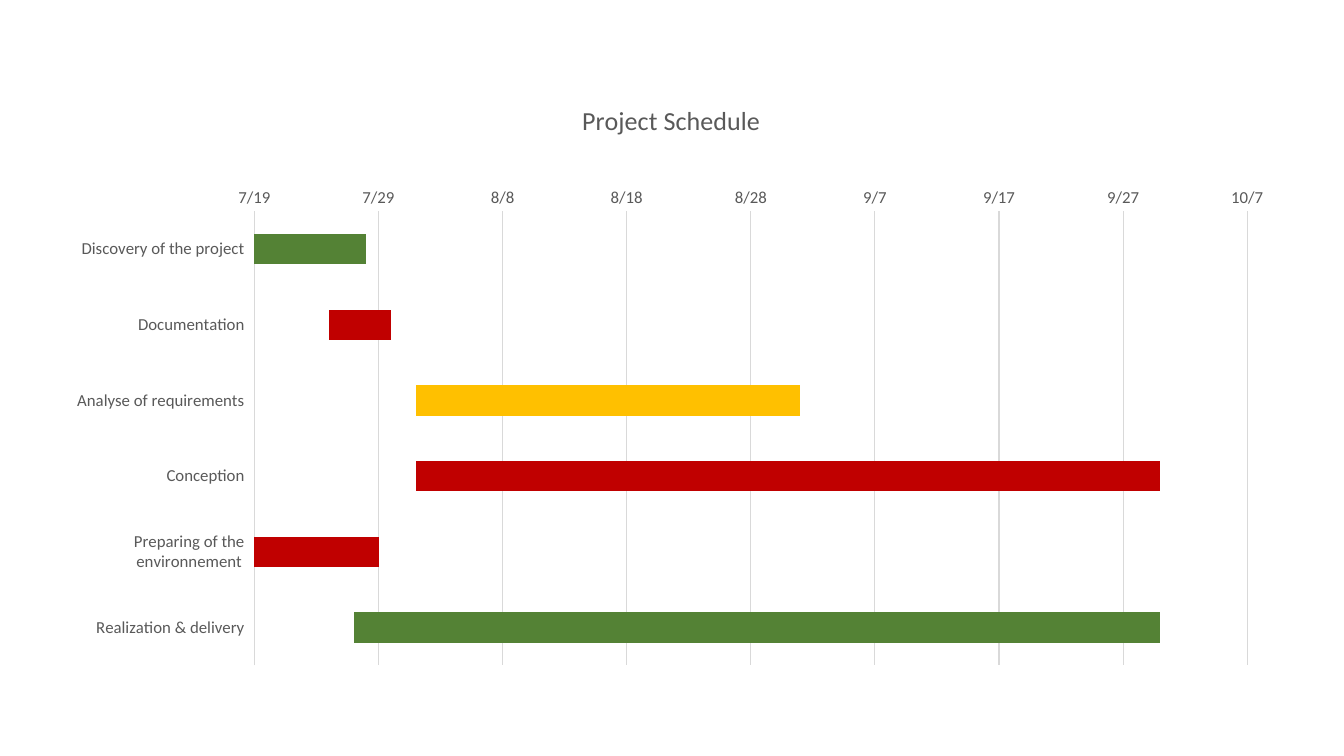
from dataclasses import dataclass

from lxml.etree import SubElement
from pptx import Presentation
from pptx.chart.data import CategoryChartData as Data
from pptx.dml.color import RGBColor as RGB
from pptx.enum.chart import XL_CHART_TYPE as Kind, XL_TICK_LABEL_POSITION as Label, XL_TICK_MARK as Tick
from pptx.oxml.ns import qn
from pptx.util import Cm, Pt


@dataclass(frozen=True)
class Theme:
    font: str = "Calibri"
    ink: RGB = RGB(0x59, 0x59, 0x59)
    rule: RGB = RGB(0xD9, 0xD9, 0xD9)
    red: RGB = RGB(0xC0, 0x00, 0x00)
    green: RGB = RGB(0x54, 0x82, 0x35)
    amber: RGB = RGB(0xFF, 0xC0, 0x00)
    thin: Pt = Pt(0.75)
    title: Pt = Pt(18.6)
    label: Pt = Pt(12)


THEME = Theme()

# Name, start as a date serial, days, colour
TASKS = [
    ("Discovery of the project", 43296, 13, THEME.green),
    ("Documentation", 43306, 5, THEME.red),
    ("Analyse of requirements", 43313, 31, THEME.amber),
    ("Conception", 43313, 60, THEME.red),
    ("Preparing of the environnement", 43296, 14, THEME.red),
    ("Realization & delivery", 43308, 65, THEME.green),
]
FIRST, LAST, STEP = 43300, 43380, 10


def style_font(font, size):
    font.name, font.size, font.bold = THEME.font, size, False
    font.color.rgb = THEME.ink


def style_line(line):
    line.color.rgb = THEME.rule
    line.width = THEME.thin


def style_axis(axis):
    axis.major_tick_mark = axis.minor_tick_mark = Tick.NONE
    style_font(axis.tick_labels.font, THEME.label)


def place_plot(chart, left, top, width, height):
    """Fix the inner plot area, in fractions of the chart."""
    area = chart.plots[0]._element.getparent()
    for old in area.findall(qn("c:layout")):
        area.remove(old)
    layout = SubElement(area, qn("c:layout"))
    area.insert(0, layout)
    box = SubElement(layout, qn("c:manualLayout"))
    rules = [("layoutTarget", "inner"), ("xMode", "edge"), ("yMode", "edge"),
             ("x", left), ("y", top), ("w", width), ("h", height)]
    for tag, val in rules:
        SubElement(box, qn(f"c:{tag}")).set("val", str(val))


def add_title(chart, text):
    chart.has_title = True
    run = chart.chart_title.text_frame.paragraphs[0].add_run()
    run.text = text
    style_font(run.font, THEME.title)
    chart.chart_title.include_in_layout = False


def style_axes(chart):
    tasks, dates = chart.category_axis, chart.value_axis
    style_axis(tasks)
    tasks.reverse_order = True
    tasks.tick_label_position = Label.LOW
    style_line(tasks.format.line)

    style_axis(dates)
    dates.minimum_scale, dates.maximum_scale = FIRST, LAST
    dates.major_unit = STEP
    dates.tick_labels.number_format = "m/d;@"
    dates.tick_labels.number_format_is_linked = False
    dates.format.line.fill.background()
    dates.has_major_gridlines = True
    style_line(dates.major_gridlines.format.line)


def style_bars(plot):
    plot.gap_width, plot.overlap = 150, 100
    plot.vary_by_categories = False
    start, days = plot.series
    start.format.fill.background()
    start.format.line.fill.background()
    days.format.fill.solid()
    days.format.fill.fore_color.rgb = THEME.red
    for i, (*_, tone) in enumerate(TASKS):
        if tone != THEME.red:
            fill = days.points[i].format.fill
            fill.solid()
            fill.fore_color.rgb = tone


def add_gantt(slide, left, top, width, height):
    names, starts, days, _ = zip(*TASKS)
    data = Data()
    data.categories = names
    data.add_series("Series 1", starts)
    data.add_series("Series 2", days)
    chart = slide.shapes.add_chart(
        Kind.BAR_STACKED, left, top, width, height, data).chart
    chart.has_legend = False
    chart.font.name = THEME.font
    add_title(chart, "Project Schedule")
    style_axes(chart)
    style_bars(chart.plots[0])
    place_plot(chart, 0.16, 0.22, 0.81, 0.76)


def main():
    deck = Presentation()
    deck.slide_width, deck.slide_height = Cm(33.87), Cm(19.05)
    slide = deck.slides.add_slide(deck.slide_layouts.get_by_name("Blank"))
    add_gantt(slide, Cm(1.47), Cm(2.01), Cm(30.89), Cm(15.06))
    deck.save("out.pptx")


if __name__ == "__main__":
    main()
